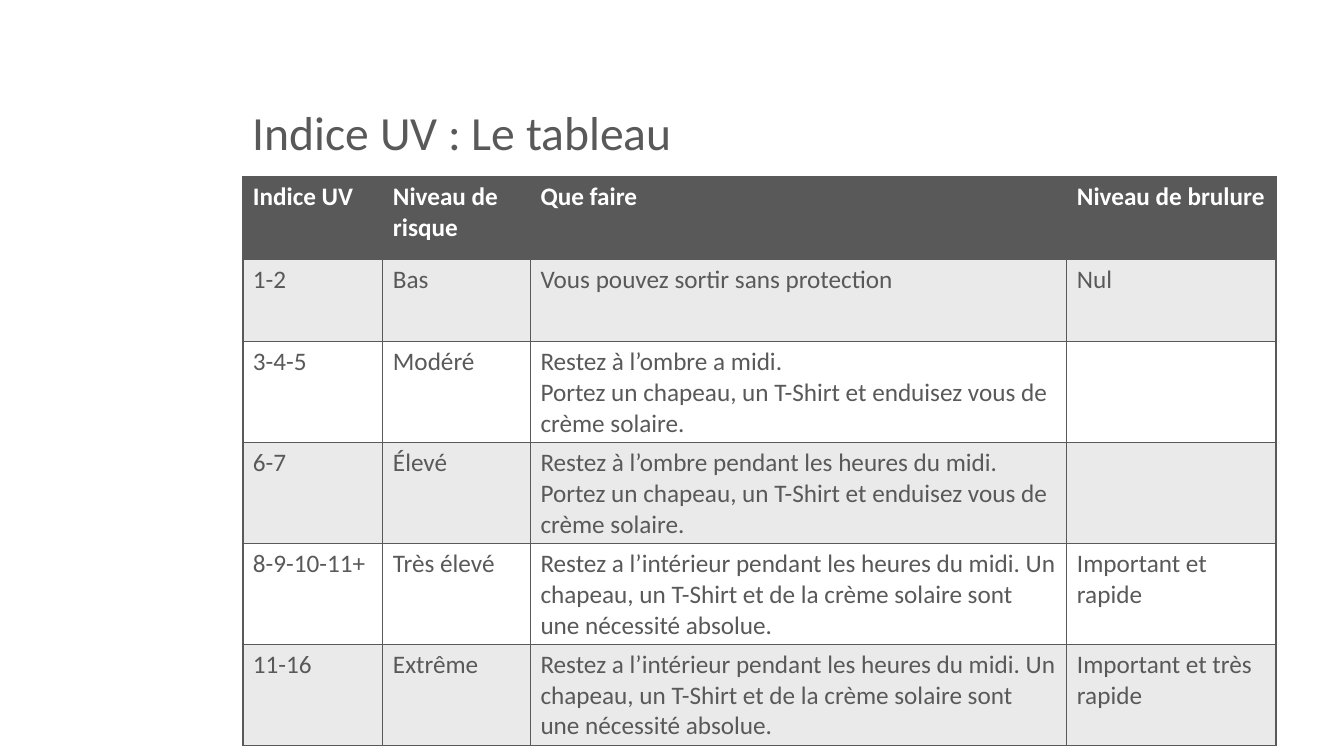
from lxml import etree
from pptx import Presentation
from pptx.dml.color import RGBColor
from pptx.enum.text import MSO_ANCHOR
from pptx.oxml.ns import qn
from pptx.util import Pt

BOTTOM = MSO_ANCHOR.BOTTOM

GREY = RGBColor(0x59, 0x59, 0x59)
BAND = RGBColor(0xEA, 0xEA, 0xEA)
WHITE = RGBColor(0xFF, 0xFF, 0xFF)
FONT = "Calibri"

LEFT, WIDTH = 173.5, 738
COLUMN_WIDTHS = [100, 105.4, 383.2, 149.4]
ROW_HEIGHT = 59.1

STAY_INSIDE = (
    "Restez a l’intérieur pendant les heures du midi. Un chapeau, un T-Shirt "
    "et de la crème solaire sont une nécessité absolue."
)
COVER_UP = "Portez un chapeau, un T-Shirt et enduisez vous de crème solaire."
UV_ROWS = [
    ["Indice UV", "Niveau de risque", "Que faire", "Niveau de brulure"],
    ["1-2", "Bas", "Vous pouvez sortir sans protection", "Nul"],
    ["3-4-5", "Modéré", "Restez à l’ombre a midi.\n" + COVER_UP, ""],
    ["6-7", "Élevé", "Restez à l’ombre pendant les heures du midi. " + COVER_UP, ""],
    ["8-9-10-11+", "Très élevé", STAY_INSIDE, "Important et rapide"],
    ["11-16", "Extrême", STAY_INSIDE, "Important et très rapide"],
]


def write_text(frame, text, size=18, color=GREY, bold=False, line_spacing=None):
    """Fill a text frame, one paragraph per line of text."""
    frame.word_wrap = True
    frame.text = text
    for paragraph in frame.paragraphs:
        paragraph.line_spacing = line_spacing
        font = paragraph.font
        font.name, font.size, font.bold = FONT, Pt(size), bold
        font.color.rgb = color
        for run in paragraph.runs:
            run.font.name, run.font.size, run.font.bold = FONT, Pt(size), bold
            run.font.color.rgb = color


def set_borders(cell, color=GREY, width=1):
    """Draw the four sides of a cell; borders come before the fill."""
    properties = cell._tc.get_or_add_tcPr()
    for index, side in enumerate(("lnL", "lnR", "lnT", "lnB")):
        line = etree.Element(qn(f"a:{side}"), w=str(Pt(width)))
        fill = etree.SubElement(line, qn("a:solidFill"))
        etree.SubElement(fill, qn("a:srgbClr"), val=str(color))
        properties.insert(index, line)


def add_title(slide, text):
    title = slide.shapes.add_textbox(Pt(LEFT), Pt(23.8), Pt(WIDTH), Pt(94.3))
    title.text_frame.vertical_anchor = BOTTOM
    write_text(title.text_frame, text, size=34, line_spacing=0.9)


def add_uv_table(slide, rows):
    frame = slide.shapes.add_table(
        len(rows), len(COLUMN_WIDTHS),
        Pt(LEFT), Pt(126), Pt(WIDTH), Pt(ROW_HEIGHT * len(rows)),
    )
    table = frame.table
    for column, width in zip(table.columns, COLUMN_WIDTHS):
        column.width = Pt(width)
    for row_index, texts in enumerate(rows):
        table.rows[row_index].height = Pt(ROW_HEIGHT)
        header = row_index == 0
        background = GREY if header else BAND if row_index % 2 else WHITE
        for column_index, text in enumerate(texts):
            cell = table.cell(row_index, column_index)
            cell.fill.solid()
            cell.fill.fore_color.rgb = background
            set_borders(cell)
            write_text(cell.text_frame, text,
                       color=WHITE if header else GREY, bold=header)


def main():
    presentation = Presentation()
    presentation.slide_width, presentation.slide_height = Pt(960), Pt(540)
    slide = presentation.slides.add_slide(presentation.slide_layouts[6])

    # Heading
    add_title(slide, "Indice UV : Le tableau")

    # Risk levels and advice
    add_uv_table(slide, UV_ROWS)

    presentation.save("out.pptx")


if __name__ == "__main__":
    main()
